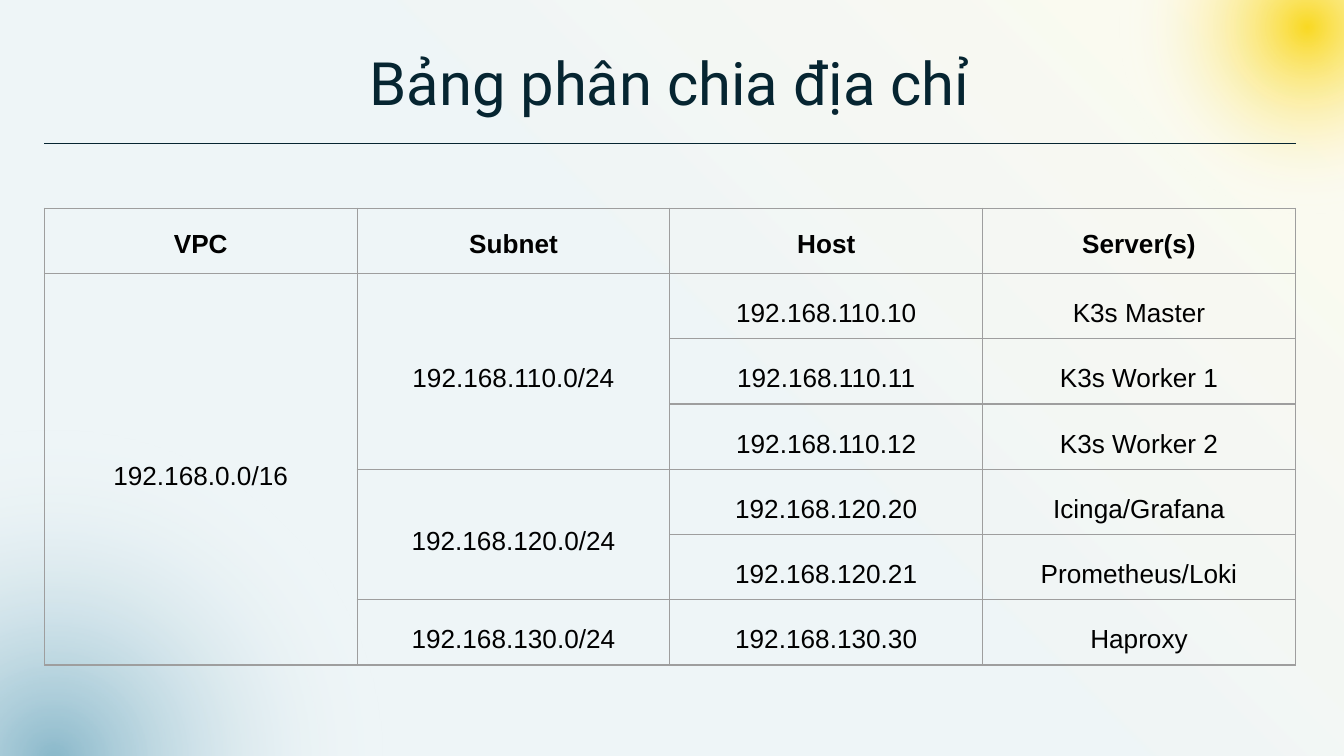
from lxml import etree
from pptx import Presentation
from pptx.dml.color import RGBColor
from pptx.enum.shapes import MSO_CONNECTOR, MSO_SHAPE
from pptx.enum.text import MSO_ANCHOR, PP_ALIGN
from pptx.oxml import parse_xml
from pptx.oxml.ns import nsdecls, qn
from pptx.util import Inches, Pt

COLORS = {"ink": "062531", "blue": "187498", "yellow": "F9D923",
          "white": "FFFFFF", "grid": "9E9E9E", "black": "000000"}
LEFT, WIDTH = 0.33, 9.31

# 16:9 slide
prs = Presentation()
prs.slide_width, prs.slide_height = Inches(10), Inches(10 * 9 / 16)
s = prs.slides.add_slide(prs.slide_layouts[5])


def write(tf, text, font="Arial", size=14, color="black", bold=False, spacing=None):
    p = tf.paragraphs[0]
    p.alignment = PP_ALIGN.CENTER
    if spacing:
        p.line_spacing = spacing
    r = p.add_run()
    r.text = text
    r.font.name, r.font.size, r.font.bold = font, Pt(size), bold
    r.font.color.rgb = RGBColor.from_string(COLORS[color])


def add_glow(kind, box, stops, direction):
    sp = s.shapes.add_shape(kind, *map(Inches, box))
    sp.shadow.inherit = False
    sp.line.fill.background()
    gs = "".join(f'<a:gs pos="{pos * 1000}"><a:srgbClr val="{COLORS[color]}">'
                 f'<a:alpha val="{alpha * 1000}"/></a:srgbClr></a:gs>'
                 for pos, color, alpha in stops)
    sp._element.spPr.find(qn("a:prstGeom")).addnext(parse_xml(
        f'<a:gradFill {nsdecls("a")} rotWithShape="1"><a:gsLst>{gs}</a:gsLst>{direction}</a:gradFill>'))


# Background wash and two corner glows
add_glow(MSO_SHAPE.RECTANGLE, (-0.04, -0.04, 10.08, 5.71),
         [(0, "blue", 7), (50, "blue", 7), (100, "yellow", 7)],
         '<a:lin ang="18900000" scaled="0"/>')
for box, color, alpha in [((7.75, -1.77, 3.94, 3.94), "yellow", 100),
                          ((-3.08, 2.17, 6.96, 6.96), "blue", 47)]:
    add_glow(MSO_SHAPE.OVAL, box,
             [(0, color, alpha), (50, "white", 0), (100, "white", 0)],
             '<a:path path="circle"><a:fillToRect l="50000" t="50000" r="50000" b="50000"/></a:path>')

# Title, brought in front of the background
title = s.shapes.title
s.shapes._spTree.append(title._element)
title.left, title.top, title.width, title.height = map(Inches, (LEFT, 0.34, WIDTH, 0.73))
tf = title.text_frame
tf.margin_left = tf.margin_right = tf.margin_top = tf.margin_bottom = 0
tf.vertical_anchor = MSO_ANCHOR.TOP
tf.word_wrap = True
write(tf, "Bảng phân chia địa chỉ", font="Roboto", size=32, color="ink")

# Rule under the title
rule = s.shapes.add_connector(MSO_CONNECTOR.STRAIGHT, Inches(LEFT), Inches(1.07),
                              Inches(LEFT + WIDTH), Inches(1.07))
rule.line.color.rgb = RGBColor.from_string(COLORS["ink"])
rule.line.width = Pt(0.75)
etree.SubElement(rule._element.spPr, qn("a:effectLst"))

# Address table: None marks a cell merged into the one above
rows = [
    ("VPC", "Subnet", "Host", "Server(s)"),
    ("192.168.0.0/16", "192.168.110.0/24", "192.168.110.10", "K3s Master"),
    (None, None, "192.168.110.11", "K3s Worker 1"),
    (None, None, "192.168.110.12", "K3s Worker 2"),
    (None, "192.168.120.0/24", "192.168.120.20", "Icinga/Grafana"),
    (None, None, "192.168.120.21", "Prometheus/Loki"),
    (None, "192.168.130.0/24", "192.168.130.30", "Haproxy"),
]
table = s.shapes.add_table(len(rows), len(rows[0]), Inches(LEFT), Inches(1.55),
                           Inches(WIDTH), Inches(3.4)).table
table.first_row = table.horz_banding = False

for i, row in enumerate(rows):
    for j, text in enumerate(row):
        cell = table.cell(i, j)
        tcPr = cell._tc.get_or_add_tcPr()
        for side in ("lnL", "lnR", "lnT", "lnB"):
            tcPr.append(parse_xml(
                f'<a:{side} {nsdecls("a")} w="{Pt(0.75)}"><a:solidFill>'
                f'<a:srgbClr val="{COLORS["grid"]}"/></a:solidFill></a:{side}>'))
        cell.fill.background()
        if text is None:
            continue
        cell.vertical_anchor = MSO_ANCHOR.MIDDLE if i else MSO_ANCHOR.TOP
        write(cell.text_frame, text, bold=i == 0, spacing=1.5)
        last = i
        while last + 1 < len(rows) and rows[last + 1][j] is None:
            last += 1
        if last > i:
            cell.merge(table.cell(last, j))

prs.save("out.pptx")
